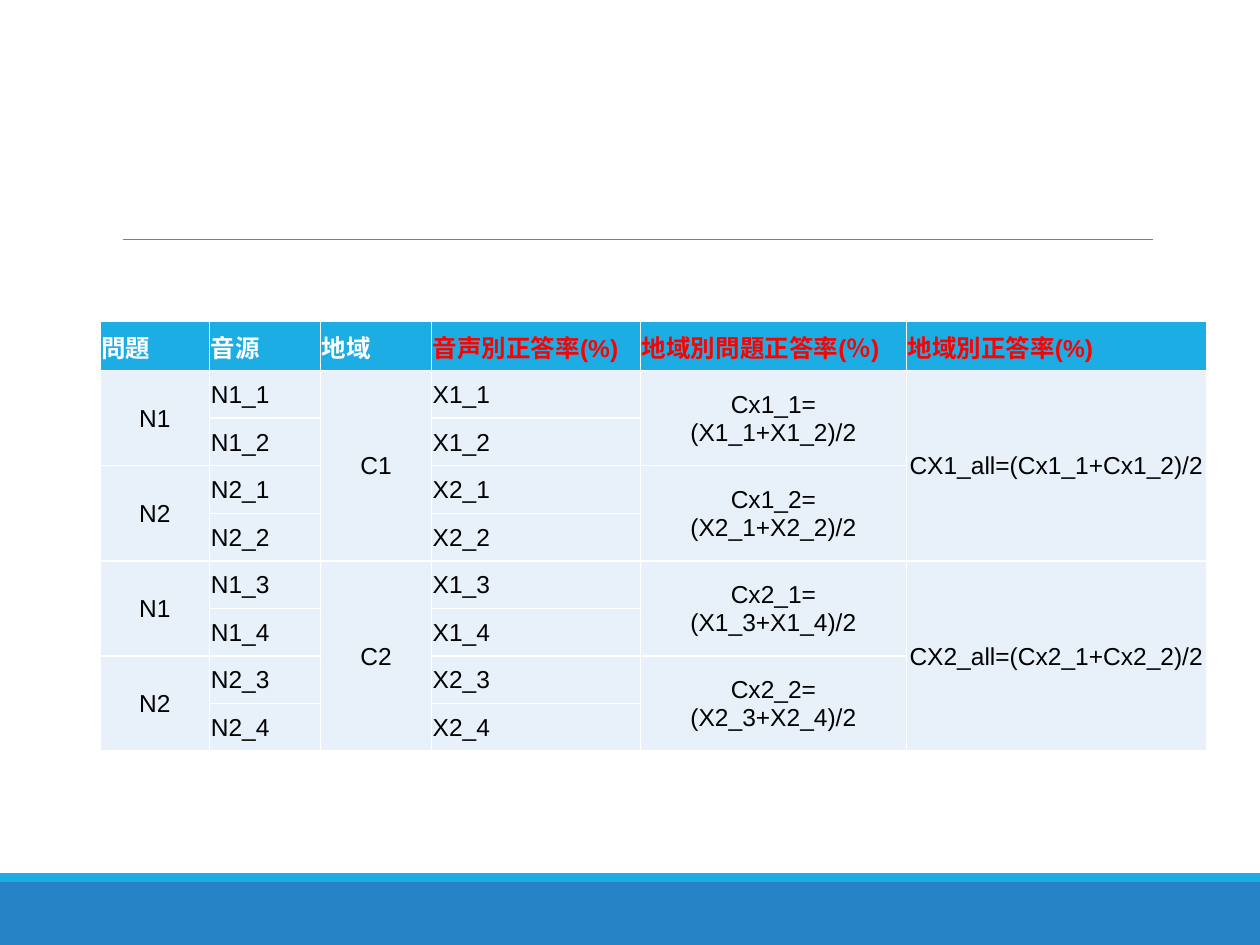
from dataclasses import dataclass

from lxml import etree
from pptx import Presentation
from pptx.dml.color import RGBColor
from pptx.enum.shapes import MSO_CONNECTOR, MSO_SHAPE
from pptx.enum.text import MSO_ANCHOR, PP_ALIGN
from pptx.oxml.ns import qn
from pptx.util import Pt

RECTANGLE = MSO_SHAPE.RECTANGLE
STRAIGHT = MSO_CONNECTOR.STRAIGHT
MIDDLE = MSO_ANCHOR.MIDDLE
LEFT, CENTER = PP_ALIGN.LEFT, PP_ALIGN.CENTER

COLORS = {
    "band": "2683C6",
    "header": "1CADE4",
    "body": "E8F1FA",
    "rule": "808080",
    "result": "FF0000",
    "white": "FFFFFF",
    "black": "000000",
}
LATIN, JAPANESE = "Arial", "Noto Sans CJK JP"

HEADERS = [
    [("問題", LATIN)],
    [("音源", LATIN)],
    [("地域", LATIN)],
    [("音声別正答率(%)", LATIN)],
    [("地域別", JAPANESE), ("問題", LATIN), ("正答率", JAPANESE), ("(％)", LATIN)],
    [("地域別正答率(%)", LATIN)],
]
COLUMN_WIDTHS = [62.6, 63.4, 63.4, 119.5, 151.9, 171.4]
ROW_SPANS = [2, 1, 4, 1, 2, 4]
HEADER_HEIGHT, BODY_HEIGHT, BODY_ROWS = 28, 27.2, 8


def color(name):
    return RGBColor.from_string(COLORS[name])


def body_texts(index):
    region = index // 4 + 1
    question = index // 2 % 2 + 1
    take = 2 * region - 1 + index % 2
    return [
        f"N{question}",
        f"N{question}_{take}",
        f"C{region}",
        f"X{question}_{take}",
        f"Cx{region}_{question}=\v(X{question}_{take}+X{question}_{take + 1})/2",
        f"CX{region}_all=(Cx{region}_1+Cx{region}_2)/2",
    ]


@dataclass
class SlideBuilder:
    """Draws styled elements on the current page, with lengths in points."""

    page: object
    text_size: float = 14
    border_width: float = 1

    def bar(self, left, top, width, height, fill):
        box = self.page.shapes.add_shape(RECTANGLE, Pt(left), Pt(top), Pt(width), Pt(height))
        box.shadow.inherit = False
        box.fill.solid()
        box.fill.fore_color.rgb = color(fill)
        box.line.fill.background()

    def rule(self, left, right, top):
        line = self.page.shapes.add_connector(STRAIGHT, Pt(left), Pt(top), Pt(right), Pt(top))
        line.line.color.rgb = color("rule")
        line.line.width = Pt(0.5)
        etree.SubElement(line._element.spPr, qn("a:effectLst"))

    def borders(self, cell):
        properties = cell._tc.get_or_add_tcPr()
        for side in ("a:lnL", "a:lnR", "a:lnT", "a:lnB"):
            border = etree.SubElement(properties, qn(side), w=str(Pt(self.border_width)))
            fill = etree.SubElement(border, qn("a:solidFill"))
            etree.SubElement(fill, qn("a:srgbClr"), val=COLORS["white"])

    def cell(self, cell, spans, fill, ink, bold=False, align=LEFT):
        self.borders(cell)
        cell.fill.solid()
        cell.fill.fore_color.rgb = color(fill)
        cell.vertical_anchor = MIDDLE
        cell.margin_left = cell.margin_right = cell.margin_top = Pt(0.7)
        cell.margin_bottom = 0
        para = cell.text_frame.paragraphs[0]
        para.alignment = align
        para.font.size = Pt(self.text_size)
        for text, font in spans:
            first = len(para.runs)
            if first:
                para.add_run().text = text
            else:
                para.text = text
            for span in para.runs[first:]:
                span.font.name = font
                span.font.size = Pt(self.text_size)
                span.font.bold = bold
                span.font.color.rgb = color(ink)
                etree.SubElement(span.font._element, qn("a:ea"), typeface=JAPANESE)

    def score_table(self, left, top):
        height = HEADER_HEIGHT + BODY_ROWS * BODY_HEIGHT
        table = self.page.shapes.add_table(
            BODY_ROWS + 1, len(HEADERS), Pt(left), Pt(top), Pt(sum(COLUMN_WIDTHS)), Pt(height)
        ).table
        table.horz_banding = False
        for column, width in zip(table.columns, COLUMN_WIDTHS):
            column.width = Pt(width)
        for number, row in enumerate(table.rows):
            row.height = Pt(BODY_HEIGHT if number else HEADER_HEIGHT)
        for column, spans in enumerate(HEADERS):
            ink = "white" if column < 3 else "result"
            self.cell(table.cell(0, column), spans, "header", ink, bold=True)
        for index in range(BODY_ROWS):
            for column, (text, size) in enumerate(zip(body_texts(index), ROW_SPANS)):
                cell = table.cell(index + 1, column)
                starts_group = index % size == 0
                if size > 1 and starts_group:
                    cell.merge(table.cell(index + size, column))
                spans = [(text, LATIN)] if starts_group else []
                self.cell(cell, spans, "body", "black", align=CENTER if size > 1 else LEFT)


def main():
    deck = Presentation()
    deck.slide_width, deck.slide_height = Pt(720), Pt(540)
    builder = SlideBuilder(deck.slides.add_slide(deck.slide_layouts[6]))
    builder.bar(0, 504, 720, 36, "band")
    builder.bar(0, 499, 720, 5, "header")
    builder.rule(70.5, 659, 136.8)
    builder.score_table(57.2, 183.8)
    deck.save("out.pptx")


if __name__ == "__main__":
    main()
